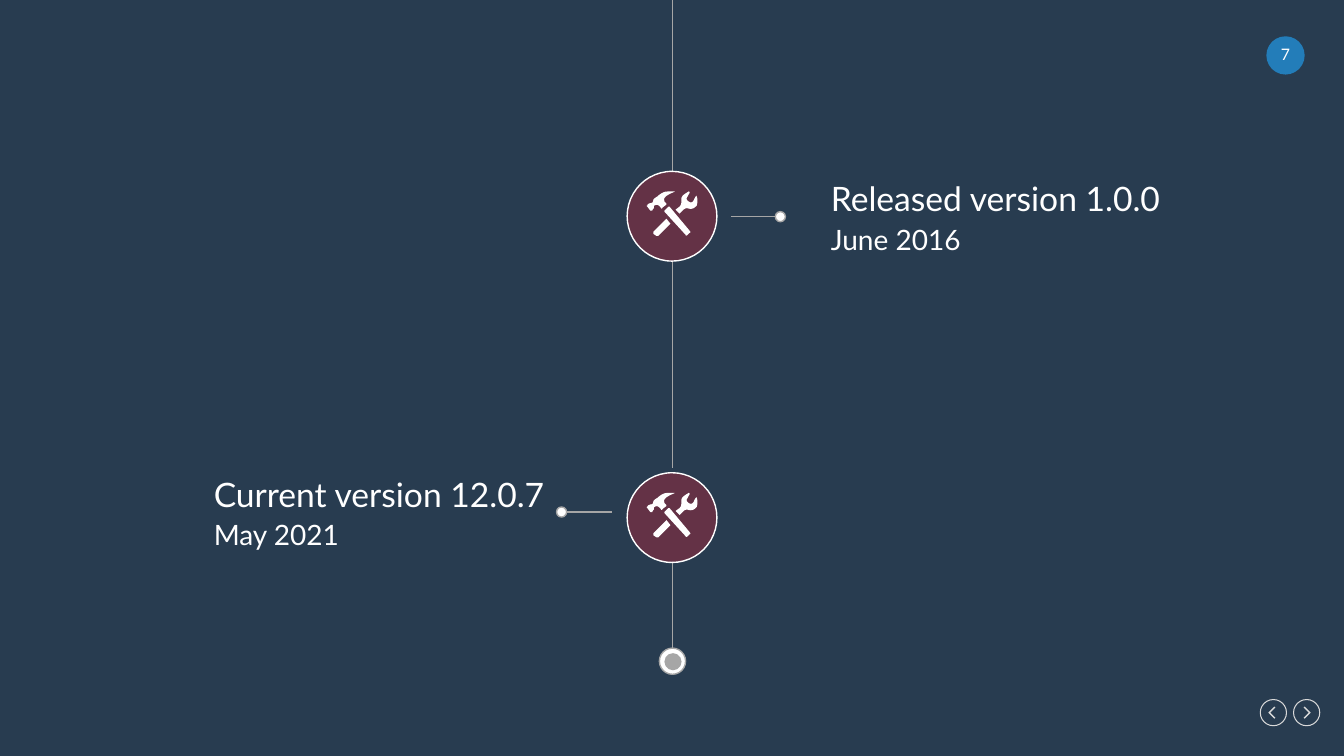
import pptx
import pptx.util
import pptx.dml.color
import pptx.enum.shapes
import pptx.enum.text
import pptx.oxml.ns
import lxml.etree
from dataclasses import dataclass

Inches = pptx.util.Inches
Pt = pptx.util.Pt


@dataclass(frozen=True)
class Theme:
    """Colours, font, type sizes and line widths of the slide."""
    background: str = "283C50"
    badge: str = "237DB9"
    marker: str = "643246"
    line: str = "A6A6A6"
    navigation: str = "D9D9D9"
    white: str = "FFFFFF"
    font: str = "Lato"
    heading_size: float = 24
    date_size: float = 20
    number_size: float = 11.3
    line_width: float = 1
    navigation_width: float = 0.75


THEME = Theme()

# Outlines in hundredths of an inch: pairs are corners, sixes are Bezier curves.
TOOLS = [
    [(6, 40), (6, 40, 6, 41, 6, 42), (9, 44), (9, 44, 10, 44, 11, 44),
     (23, 32), (19, 27)],
    [(49, 5), (49, 4, 49, 4, 48, 5), (48, 5, 46, 8, 46, 9),
     (45, 10, 44, 12, 41, 10), (38, 8, 39, 6, 40, 5), (40, 4, 42, 2, 42, 1),
     (42, 1, 42, 0, 41, 0), (40, 1, 35, 3, 34, 6), (33, 9, 35, 12, 32, 15),
     (28, 18), (32, 22), (36, 18), (37, 17, 39, 16, 41, 17),
     (45, 18, 47, 16, 49, 14), (50, 11, 50, 7, 49, 5)],
    [(22, 15), (21, 15), (17, 19), (17, 20), (38, 43),
     (38, 44, 39, 44, 40, 43), (42, 41), (43, 41, 43, 40, 42, 39)],
    [(7, 14), (10, 12, 12, 14, 14, 17), (14, 17, 15, 17, 15, 16), (19, 13),
     (19, 12), (19, 12, 18, 11, 17, 10), (13, 4, 30, 0, 27, 0), (20, 0),
     (16, 0, 12, 3, 10, 5), (8, 6, 7, 7, 6, 8), (6, 8, 6, 10, 5, 11),
     (3, 12, 3, 11, 2, 12), (1, 12, 0, 13, 0, 14), (-1, 14, -1, 14, 0, 15),
     (3, 19), (3, 19, 4, 19, 5, 19), (5, 18, 6, 17, 6, 17),
     (7, 17, 6, 15, 7, 14)],
]
CHEVRON_LEFT = [(7, 1), (2, 6), (7, 11), (6, 12), (0, 6), (6, 0)]
CHEVRON_RIGHT = [(7 - x, y) for x, y in CHEVRON_LEFT]


def rgb(colour):
    """Turn a hex string into a colour."""
    return pptx.dml.color.RGBColor.from_string(colour)


def paint(shape, fill=None, line=None, width=THEME.line_width):
    """Set fill and line of a shape, and take its shadow away."""
    shape.shadow.inherit = False
    for target, colour in ((shape.fill, fill), (shape.line.fill, line)):
        if colour:
            target.solid()
            target.fore_color.rgb = rgb(colour)
        else:
            target.background()
    if line:
        shape.line.width = Pt(width)


def add_circle(slide, left, top, size, **style):
    """Add a circle in the square box given."""
    circle = slide.shapes.add_shape(
        pptx.enum.shapes.MSO_SHAPE.OVAL,
        Inches(left), Inches(top), Inches(size), Inches(size))
    paint(circle, **style)


def add_line(slide, start, end):
    """Add a thin straight line between two points."""
    line = slide.shapes.add_connector(
        pptx.enum.shapes.MSO_CONNECTOR.STRAIGHT,
        *(Inches(value) for value in (*start, *end)))
    line.line.color.rgb = rgb(THEME.line)
    line.line.width = Pt(THEME.line_width)
    lxml.etree.SubElement(line._element.spPr, pptx.oxml.ns.qn("a:effectLst"))


def flatten(outline, steps=6):
    """Turn corners and curves into a list of points."""
    points = [outline[0]]
    for part in outline[1:]:
        if len(part) == 2:
            points.append(part)
            continue
        controls = [points[-1], part[:2], part[2:4], part[4:]]
        for step in range(1, steps + 1):
            t = step / steps
            weights = ((1 - t) ** 3, 3 * t * (1 - t) ** 2,
                       3 * t * t * (1 - t), t ** 3)
            points.append(tuple(
                sum(weight * control[axis]
                    for weight, control in zip(weights, controls))
                for axis in (0, 1)))
    return points


def add_outline(slide, left, top, outlines, fill):
    """Add one filled freeform made of closed outlines."""
    paths = [[(Inches(x / 100), Inches(y / 100)) for x, y in flatten(outline)]
             for outline in outlines]
    builder = slide.shapes.build_freeform(*paths[0][0])
    for index, points in enumerate(paths):
        if index:
            builder.move_to(*points[0])
        builder.add_line_segments(points[1:], close=True)
    paint(builder.convert_to_shape(Inches(left), Inches(top)), fill=fill)


def add_text(slide, left, top, width, height, text, size):
    """Add a one-line white text without margins and return its paragraph."""
    box = slide.shapes.add_textbox(
        Inches(left), Inches(top), Inches(width), Inches(height))
    frame = box.text_frame
    frame.text = text
    frame.word_wrap = True
    frame.auto_size = pptx.enum.text.MSO_AUTO_SIZE.SHAPE_TO_FIT_TEXT
    frame.margin_left = frame.margin_right = 0
    frame.margin_top = frame.margin_bottom = 0
    paragraph = frame.paragraphs[0]
    font = paragraph.runs[0].font
    font.name, font.size = THEME.font, Pt(size)
    font.color.rgb = rgb(THEME.white)
    return paragraph


def add_page_badge(slide, left, top, number):
    """Add the round badge with the page number."""
    add_circle(slide, left, top, 0.38, fill=THEME.badge)
    paragraph = add_text(slide, left + 0.03, top + 0.08, 0.32, 0.19,
                         number, THEME.number_size)
    paragraph.alignment = pptx.enum.text.PP_ALIGN.CENTER


def add_navigation(slide, left, top):
    """Add the back and forward buttons."""
    buttons = ((0, 0.08, CHEVRON_LEFT), (0.33, 0.1, CHEVRON_RIGHT))
    for offset, inset, chevron in buttons:
        add_outline(slide, left + offset + inset, top + 0.07, [chevron],
                    THEME.navigation)
        add_circle(slide, left + offset, top, 0.26, line=THEME.navigation,
                   width=THEME.navigation_width)


def add_spine(slide, centre, spans):
    """Add the vertical timeline and its end point."""
    for top, bottom in spans:
        add_line(slide, (centre, top), (centre, bottom))
    end = spans[-1][1]
    add_circle(slide, centre - 0.13, end, 0.26, fill=THEME.white, line=THEME.line)
    add_circle(slide, centre - 0.08, end + 0.05, 0.17, fill=THEME.line)


def add_marker(slide, left, top):
    """Add a milestone circle with its tools icon."""
    add_circle(slide, left, top, 0.89, fill=THEME.marker, line=THEME.white)
    add_outline(slide, left + 0.2, top + 0.2, TOOLS, THEME.white)


def add_label(slide, left, middle, heading, date, line_start, dot_left):
    """Add a milestone's leader line, dot, heading and date."""
    dot_edge = dot_left if dot_left > line_start else dot_left + 0.1
    add_line(slide, (line_start, middle), (dot_edge, middle))
    add_circle(slide, dot_left, middle - 0.05, 0.1,
               fill=THEME.white, line=THEME.line)
    for offset, height, text, size in (
            (-0.38, 0.4, heading, THEME.heading_size),
            (0.15, 0.24, date, THEME.date_size)):
        paragraph = add_text(slide, left, middle + offset, 4.11, height, text, size)
        paragraph.space_after = Pt(16)
        if text == date:
            paragraph.line_spacing = Pt(17.3)


def build_timeline_slide(presentation):
    """Build the release timeline slide."""
    slide = presentation.slides.add_slide(presentation.slide_layouts[6])
    slide.background.fill.solid()
    slide.background.fill.fore_color.rgb = rgb(THEME.background)
    add_page_badge(slide, 12.56, 0.36, "7")
    add_navigation(slide, 12.5, 6.94)
    add_spine(slide, 6.67, [(0, 1.71), (2.59, 4.64), (5.53, 6.43)])
    for top in (1.7, 4.69):
        add_marker(slide, 6.22, top)
    add_label(slide, 8.24, 2.15, "Released version 1.0.0", "June 2016", 7.25, 7.69)
    add_label(slide, 2.12, 5.08, "Current version 12.0.7", "May 2021", 6.07, 5.52)


presentation = pptx.Presentation()
presentation.slide_width = Inches(13.33)
presentation.slide_height = Inches(7.5)
build_timeline_slide(presentation)
presentation.save("out.pptx")
